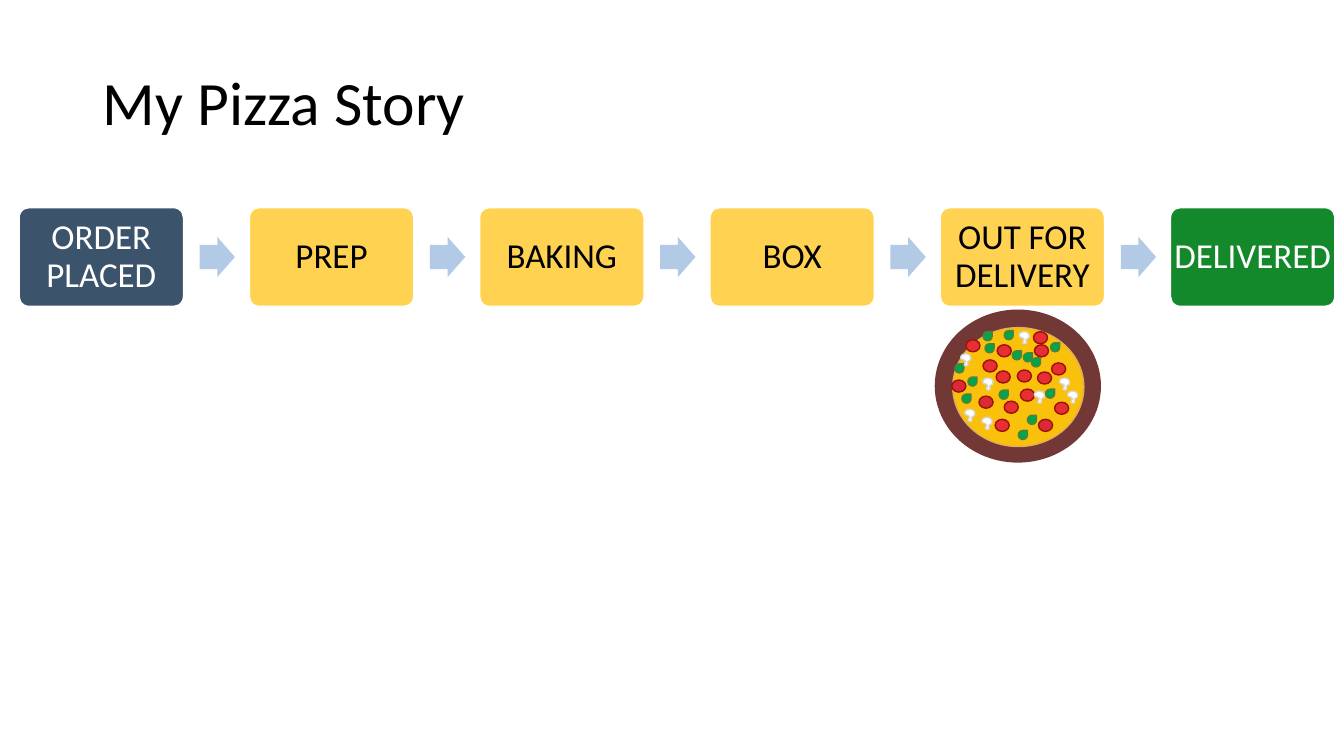
from dataclasses import dataclass

from lxml.etree import SubElement
from pptx import Presentation
from pptx.dml.color import RGBColor
from pptx.enum.shapes import MSO_SHAPE
from pptx.enum.text import MSO_ANCHOR, PP_ALIGN
from pptx.oxml.ns import qn
from pptx.shapes.autoshape import Shape
from pptx.shapes.shapetree import GroupShapes
from pptx.text.text import TextFrame
from pptx.util import Inches, Pt

Point = tuple[float, float]


@dataclass(frozen=True)
class Step:
    label: str
    fill: str = "FFD351"
    color: str = "000000"


@dataclass(frozen=True)
class Topping:
    kind: MSO_SHAPE
    width: float
    height: float
    fill: str
    line: str
    places: list[Point]


STEPS = [
    Step("ORDER PLACED", "3B536B", "FFFFFF"),
    Step("PREP"),
    Step("BAKING"),
    Step("BOX"),
    Step("OUT FOR DELIVERY"),
    Step("DELIVERED", "13892B", "FFFFFF"),
]
FIRST_LEFT, LAST_LEFT = 0.19, 11.61
PITCH = (LAST_LEFT - FIRST_LEFT) / (len(STEPS) - 1)
ARROW_OFFSET = 1.79

TOPPINGS = [
    Topping(MSO_SHAPE.DONUT, 1.51, 1.38, "E4AD56", "723836", [(9.34, 3.14)]),
    Topping(MSO_SHAPE.OVAL, 1.3, 1.18, "F9C00C", "E4AD56", [(9.45, 3.25)]),
    Topping(MSO_SHAPE.OVAL, 0.14, 0.12, "DA2A37", "9C1200", [
        (9.71, 3.93), (9.44, 3.77), (10.3, 4.16),
    ]),
    Topping(MSO_SHAPE.OVAL, 0.14, 0.12, "E72E34", "9C1200", [
        (9.88, 3.68), (9.75, 3.57), (10.12, 3.86), (9.96, 3.98), (9.89, 3.42),
        (9.87, 4.16), (10.29, 3.69), (10.09, 3.67), (10.43, 3.6), (10.46, 3.99),
        (9.58, 3.37), (10.25, 3.29), (10.26, 3.42),
    ]),
    Topping(MSO_SHAPE.TEAR, 0.09, 0.09, "02A44D", "548135", [
        (9.91, 3.87), (10.19, 4.12), (9.54, 3.91), (10.37, 3.86), (10.23, 3.55),
        (10.1, 4.27), (9.96, 3.28), (9.77, 3.41), (9.47, 3.61), (9.6, 3.74),
        (10.42, 3.4), (10.15, 3.5), (10.04, 3.48), (9.75, 3.29),
    ]),
]

MUSHROOMS = [
    (10.11, 3.29), (10.59, 3.88), (10.26, 3.88), (9.75, 3.75),
    (9.53, 3.51), (9.57, 4.06), (10.51, 3.75), (9.74, 4.14),
]
MUSHROOM_WIDTH, MUSHROOM_HEIGHT = 0.1, 0.12
MUSHROOM_PATH = [
    ("moveTo", [(0.03, 0.06)]),
    ("cubicBezTo", [(-0.02, 0.06), (-0.01, 0), (0.05, 0)]),
    ("cubicBezTo", [(0.11, 0), (0.11, 0.07), (0.08, 0.07)]),
    ("cubicBezTo", [(0.04, 0.08), (0.1, 0.12), (0.05, 0.12)]),
    ("cubicBezTo", [(0, 0.12), (0.08, 0.07), (0.03, 0.06)]),
    ("close", []),
]


def rgb(value: str) -> RGBColor:
    return RGBColor.from_string(value)


def paint(s: Shape, fill: str, line: str | None = None, width: float = 1) -> None:
    s.shadow.inherit = False
    s.fill.solid()
    s.fill.fore_color.rgb = rgb(fill)
    if line:
        s.line.color.rgb = rgb(line)
        s.line.width = Pt(width)
    else:
        s.line.fill.background()


def add_shape(shapes: GroupShapes, kind: MSO_SHAPE, left: float, top: float,
              width: float, height: float) -> Shape:
    return shapes.add_shape(kind, Inches(left), Inches(top), Inches(width), Inches(height))


def write(tf: TextFrame, text: str, size: float, color: str, align: PP_ALIGN,
          margins: Point) -> None:
    side, end = map(Inches, margins)
    frame_format = {
        "word_wrap": True, "vertical_anchor": MSO_ANCHOR.MIDDLE,
        "margin_left": side, "margin_right": side,
        "margin_top": end, "margin_bottom": end,
    }
    p = tf.paragraphs[0]
    r = p.add_run()
    r.text = text
    r.font.color.rgb = rgb(color)
    formats = [
        (tf, frame_format),
        (p, {"alignment": align, "line_spacing": 0.9}),
        (r.font, {"name": "Calibri", "size": Pt(size)}),
    ]
    for target, values in formats:
        for name, value in values.items():
            setattr(target, name, value)


def draw_step(shapes: GroupShapes, step: Step, left: float) -> None:
    s = add_shape(shapes, MSO_SHAPE.ROUNDED_RECTANGLE, left, 2.06, 1.63, 0.98)
    s.adjustments[0] = 0.1
    paint(s, step.fill, "FFFFFF")
    write(s.text_frame, step.label, 25, step.color, PP_ALIGN.CENTER, (0, 0))


def draw_arrow(shapes: GroupShapes, left: float) -> None:
    s = add_shape(shapes, MSO_SHAPE.RIGHT_ARROW, left, 2.35, 0.35, 0.4)
    s.adjustments[0] = 0.6
    paint(s, "B3CAE7")


def draw_topping(shapes: GroupShapes, topping: Topping) -> None:
    for left, top in topping.places:
        s = add_shape(shapes, topping.kind, left, top, topping.width, topping.height)
        is_crust = topping.kind == MSO_SHAPE.DONUT
        if is_crust:
            s.adjustments[0] = 0.068
        paint(s, topping.fill, topping.line, 10 if is_crust else 1)


def draw_mushroom(shapes: GroupShapes, left: float, top: float) -> None:
    x, y = Inches(left), Inches(top)
    right, bottom = x + Inches(MUSHROOM_WIDTH), y + Inches(MUSHROOM_HEIGHT)
    builder = shapes.build_freeform(x, y)
    builder.add_line_segments([(right, y), (right, bottom), (x, bottom)])
    s = builder.convert_to_shape()
    outline = next(s.element.iter(qn("a:path")))
    for segment in list(outline):
        outline.remove(segment)
    for command, points in MUSHROOM_PATH:
        segment = SubElement(outline, qn(f"a:{command}"))
        for px, py in points:
            SubElement(segment, qn("a:pt"), x=str(Inches(px)), y=str(Inches(py)))
    paint(s, "FFFFFF", "D8D8D8")


def main() -> None:
    prs = Presentation()
    prs.slide_width, prs.slide_height = Inches(13.33), Inches(7.5)
    slide = prs.slides.add_slide(prs.slide_layouts[5])

    title = slide.shapes.title
    title.left, title.top = Inches(0.92), Inches(0.59)
    title.width, title.height = Inches(11.5), Inches(0.92)
    write(title.text_frame, "My Pizza Story", 44, "000000", PP_ALIGN.LEFT, (0.1, 0.05))

    flow = slide.shapes.add_group_shape().shapes
    for i, step in enumerate(STEPS):
        left = FIRST_LEFT + i * PITCH
        draw_step(flow, step, left)
        if i < len(STEPS) - 1:
            draw_arrow(flow, left + ARROW_OFFSET)

    pizza = slide.shapes.add_group_shape().shapes
    for topping in TOPPINGS:
        draw_topping(pizza, topping)
    for left, top in MUSHROOMS:
        draw_mushroom(pizza, left, top)

    prs.save("out.pptx")


if __name__ == "__main__":
    main()
